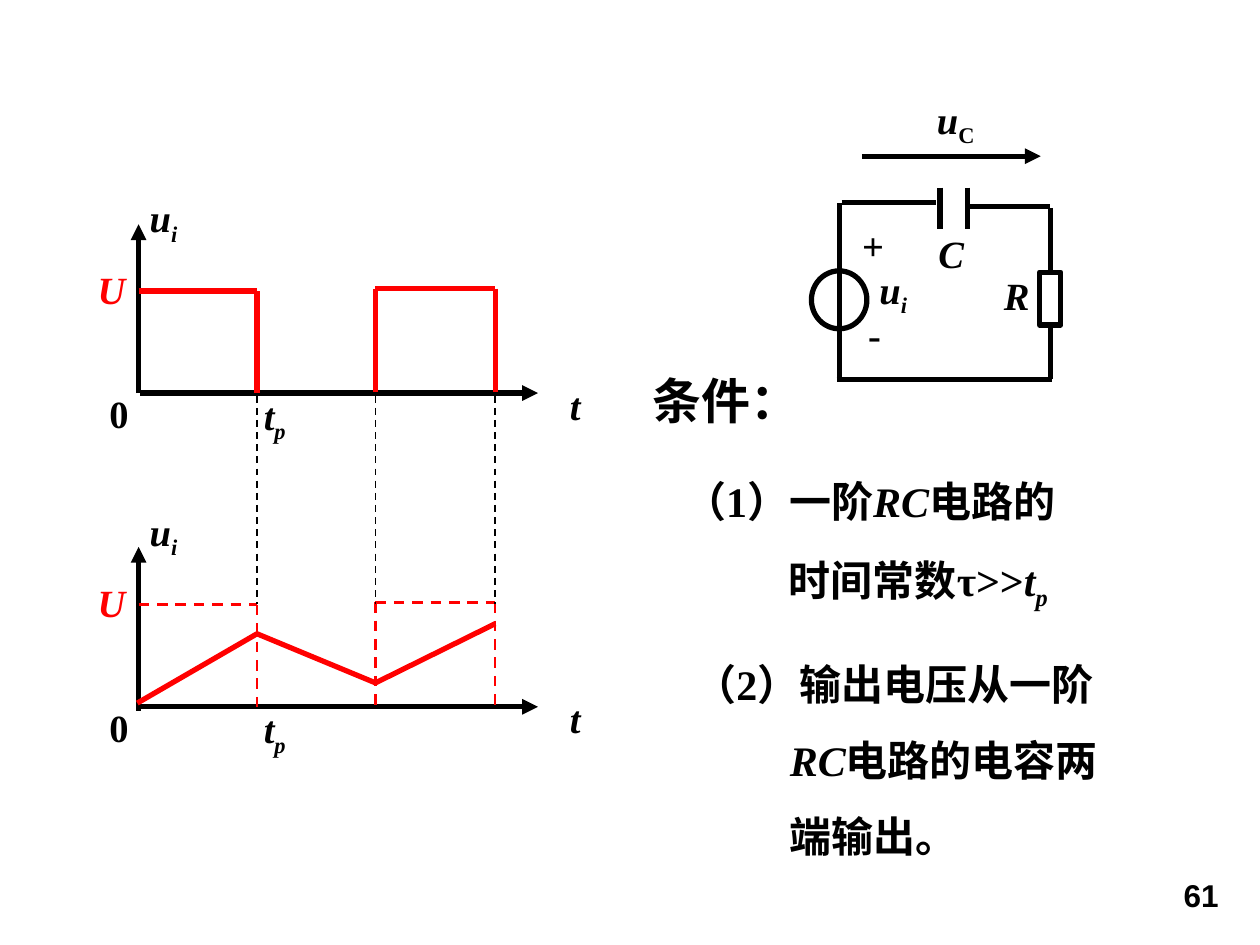
"""Build a slide on the integrating RC circuit: waveforms, circuit and conditions."""
import pptx
import pptx.dml.color
import pptx.enum.dml
import pptx.enum.shapes
import pptx.enum.text
import pptx.oxml
import pptx.oxml.ns
import pptx.util

COLORS = {"ink": "000000", "signal": "FF0000", "paper": "FFFFFF"}
SERIF, CJK, SANS = "Times New Roman", "Noto Sans CJK SC", "Arial"
ALIGN = pptx.enum.text.PP_ALIGN
SHAPE = pptx.enum.shapes.MSO_SHAPE
COLUMNS, ROWS = 100, 75
PLOT_STEP = 24.9
PULSES = [20.4, 29.8, 39.3]


class Sketch:
    """Hold the style and the current slide; lengths are grid columns and rows."""

    def __init__(self, prs):
        self.prs = prs
        self.slide = prs.slides.add_slide(prs.slide_layouts[3])

    def x(self, columns):
        return round(self.prs.slide_width * columns / COLUMNS)

    def y(self, rows):
        return round(self.prs.slide_height * rows / ROWS)

    def box(self, left, top, width, height):
        return self.x(left), self.y(top), self.x(width), self.y(height)

    def color(self, name):
        return pptx.dml.color.RGBColor.from_string(COLORS[name])

    def line(self, x1, y1, x2, y2, color="ink", width=3, dash=False, arrow=False):
        kind = pptx.enum.shapes.MSO_CONNECTOR.STRAIGHT
        sp = self.slide.shapes.add_connector(kind, self.x(x1), self.y(y1), self.x(x2), self.y(y2))
        sp.line.color.rgb = self.color(color)
        sp.line.width = pptx.util.Pt(width)
        if dash:
            sp.line.dash_style = pptx.enum.dml.MSO_LINE.DASH
        if arrow:
            tail = pptx.oxml.parse_xml(f'<a:tailEnd {pptx.oxml.ns.nsdecls("a")} type="triangle"/>')
            sp.line._get_or_add_ln().append(tail)
        effects = pptx.oxml.parse_xml(f'<a:effectLst {pptx.oxml.ns.nsdecls("a")}/>')
        sp._element.spPr.append(effects)

    def outline(self, kind, left, top, width, height, fill=None):
        sp = self.slide.shapes.add_shape(kind, *self.box(left, top, width, height))
        sp.shadow.inherit = False
        if fill:
            sp.fill.solid()
            sp.fill.fore_color.rgb = self.color(fill)
        else:
            sp.fill.background()
        sp.line.color.rgb = self.color("ink")
        sp.line.width = pptx.util.Pt(3)

    def set_text(self, sp, runs, size, color="ink", align=ALIGN.LEFT, font=SERIF):
        """Fill a shape with (text, style) runs: i is italic, s is subscript."""
        tf = sp.text_frame
        tf.word_wrap = True
        tf.auto_size = pptx.enum.text.MSO_AUTO_SIZE.NONE
        tf.vertical_anchor = pptx.enum.text.MSO_ANCHOR.TOP
        p = tf.paragraphs[0]
        p.alignment = align
        p.space_before = pptx.util.Pt(0)
        for text, style in runs:
            if text == "\v":
                p.add_line_break()
                continue
            r = p.add_run()
            r.text = text
            r.font.name = font
            r.font.size = pptx.util.Pt(size)
            r.font.bold = True
            r.font.italic = "i" in style
            r.font.color.rgb = self.color(color)
            props = r._r.get_or_add_rPr()
            if "s" in style:
                props.set("baseline", "-25000")
            east = f'<a:ea {pptx.oxml.ns.nsdecls("a")} typeface="{CJK}"/>'
            props.find(pptx.oxml.ns.qn("a:latin")).addnext(pptx.oxml.parse_xml(east))
        return p

    def label(self, left, top, width, runs, color="ink", align=ALIGN.CENTER, size=22, font=SERIF):
        sp = self.slide.shapes.add_textbox(*self.box(left, top, width, 4.7))
        self.set_text(sp, runs, size, color, align, font)

    def place(self, index, left, top, width, height):
        sp = self.slide.placeholders[index]
        sp.left, sp.top, sp.width, sp.height = self.box(left, top, width, height)
        return sp

    def title(self, text, *area):
        self.set_text(self.place(0, *area), [(text, "")], 28, font=CJK)

    def condition(self, index, runs, hang, *area):
        p = self.set_text(self.place(index, *area), runs, 24)
        p.line_spacing = 1.5
        props = p._p.get_or_add_pPr()
        props.set("marL", str(self.x(hang)))
        props.set("indent", str(-self.x(hang)))
        props.append(pptx.oxml.parse_xml(f'<a:buNone {pptx.oxml.ns.nsdecls("a")}/>'))

    def plot(self, offset, axis_top, axis_foot, width, dash):
        def pulse(x1, y1, x2, y2):
            self.line(x1, y1 + offset, x2, y2 + offset, "signal", width, dash)

        first, second, third = PULSES
        self.line(11.1, 31.2 + offset, 42.7, 31.2 + offset, arrow=True)
        self.line(11, axis_foot, 11, axis_top, arrow=True)
        pulse(11, 23.1, first, 23.1)
        pulse(first, 23.1, first, 31.2)
        pulse(second, 22.9, third, 22.9)
        for edge in (second, third):
            pulse(edge, 22.9, edge, 31.1)
        self.label(5.4, 20.6 + offset, 6.9, [("U", "i")], "signal")
        self.label(42.1, 29.8 + offset, 7.1, [("t", "i")])
        self.label(7.7, 30.5 + offset, 6.3, [("0", "")], align=ALIGN.LEFT)
        self.label(10.9, 14.9 + offset, 8.7, [("u", "i"), ("i", "is")], align=ALIGN.LEFT)
        self.label(14.7, 30.6 + offset, 14.2, [("t", "i"), ("p", "is")])

    def circuit(self):
        self.outline(SHAPE.RECTANGLE, 82.5, 21.6, 1.7, 4.2)
        self.outline(SHAPE.OVAL, 64.4, 21.5, 4.4, 4.6, "paper")
        wires = [
            (83.4, 16.5, 83.4, 21.6), (83.4, 25.7, 83.4, 30.1), (66.4, 30.1, 83.5, 30.1),
            (66.6, 16.1, 66.6, 30.3), (66.8, 16.1, 74.3, 16.1), (76.6, 16.4, 83.3, 16.4),
        ]
        for wire in wires:
            self.line(*wire)
        for plate in (74.6, 76.8):
            self.line(plate, 14.9, plate, 18.2)
        self.line(68.4, 12.4, 82.6, 12.4, arrow=True)
        self.label(72.1, 7.1, 7.5, [("u", "i"), ("C", "s")])
        self.label(70, 17.8, 11, [("C", "i")])
        self.label(75.2, 21.1, 11, [("R", "i")])
        self.label(67, 17.1, 4.6, [("+", "")])
        self.label(66.5, 24.2, 5.8, [("-", "")])
        self.label(68.6, 20.6, 4.6, [("u", "i"), ("i", "is")])


def main():
    prs = pptx.Presentation()
    prs.slide_width, prs.slide_height = pptx.util.Inches(10), pptx.util.Inches(7.5)
    s = Sketch(prs)
    s.circuit()
    s.plot(0, 17.8, 31.2, 3, False)
    s.plot(PLOT_STEP, 43.4, 56.4, 1.5, True)
    for edge in PULSES:
        s.line(edge, 31.4, edge, 47.9, width=1, dash=True)
    ramp = [(10.9, 55.8), (PULSES[0], 50.3), (PULSES[1], 54.2), (PULSES[2], 49.5)]
    for start, end in zip(ramp, ramp[1:]):
        s.line(*start, *end, "signal")
    s.title("条件：", 50.8, 28.9, 37, 5.7)
    s.condition(1, [
        ("（1）一阶", ""), ("RC", "i"), ("电路的", ""), ("\v", ""),
        ("时间常数τ>>", ""), ("t", "i"), ("p", "is"),
    ], 8.3, 53.3, 35.2, 38.9, 13.1)
    s.condition(2, [
        ("（2）输出电压从一阶", ""), ("\v", ""), ("RC", "i"), ("电路的电容两", ""),
        ("\v", ""), ("端输出。", ""),
    ], 7.6, 54.1, 49.8, 37.3, 19.2)
    s.label(77.6, 69, 20.1, [("61", "")], align=ALIGN.RIGHT, size=18, font=SANS)
    prs.save("out.pptx")


if __name__ == "__main__":
    main()
